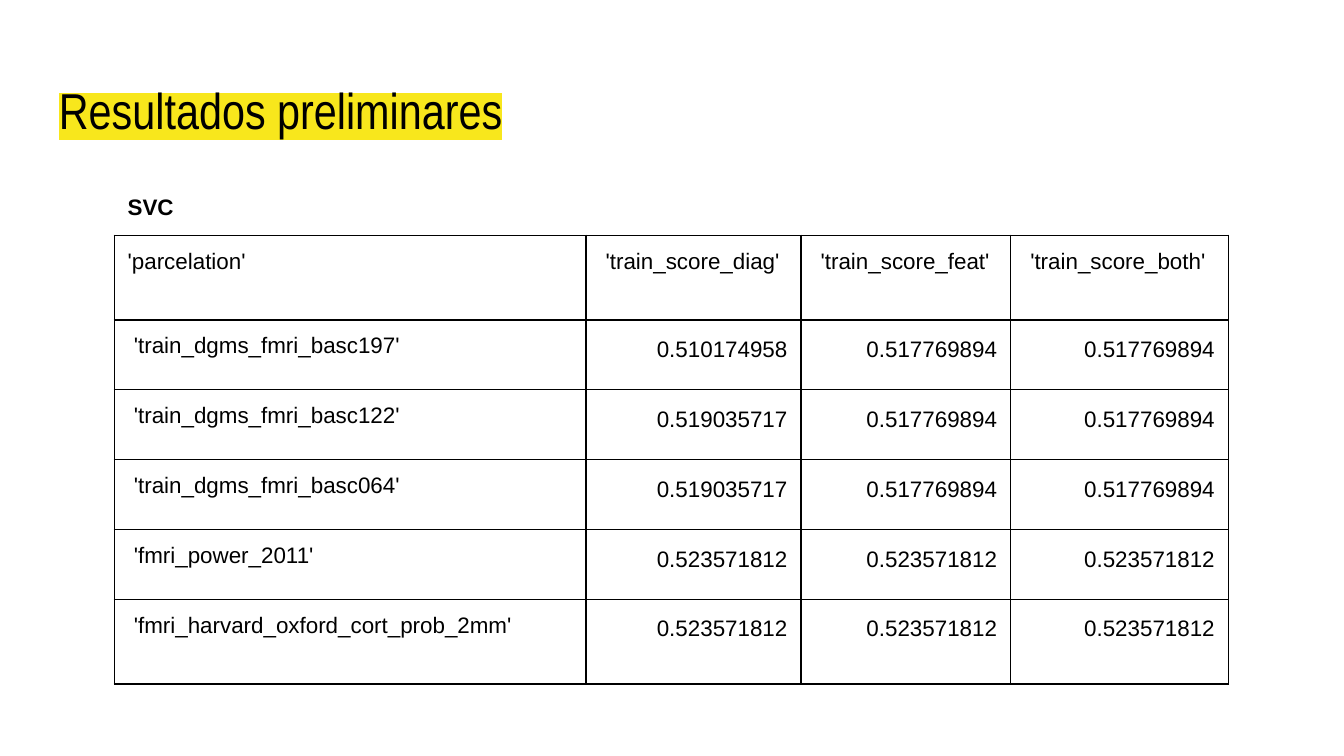
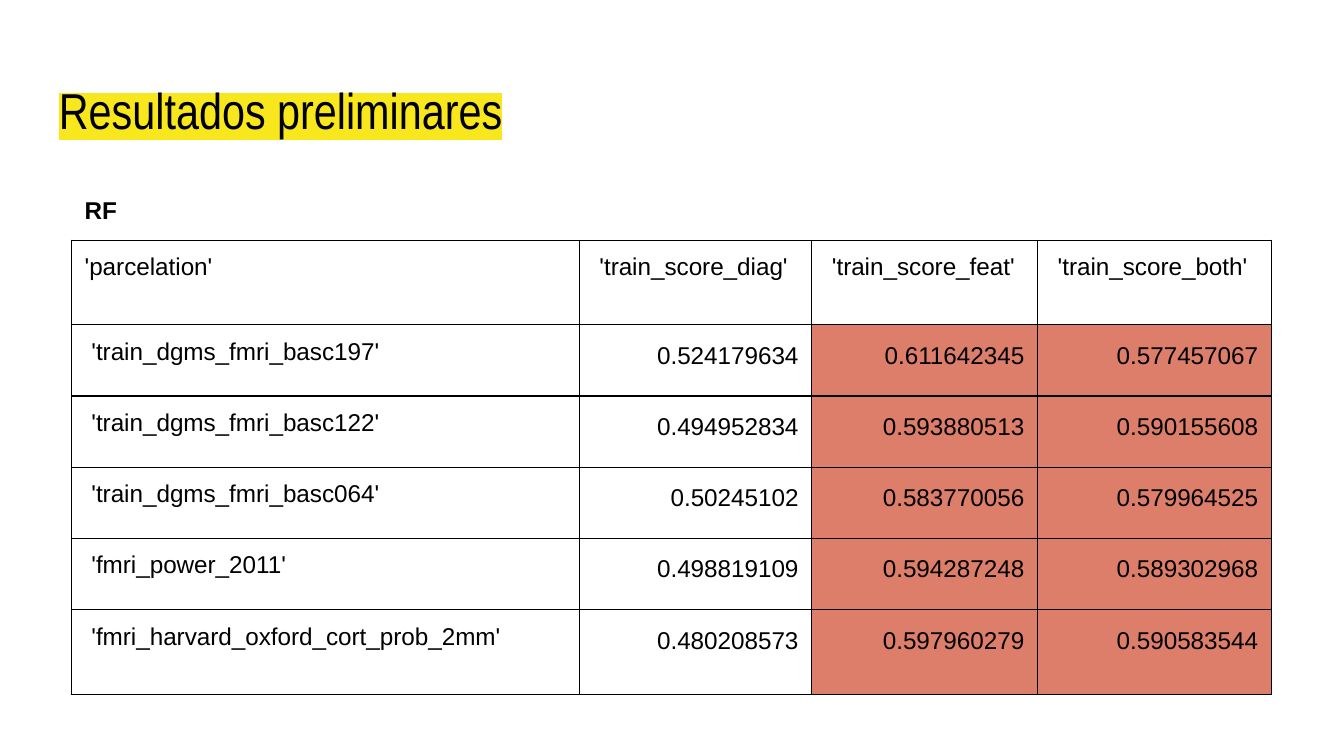
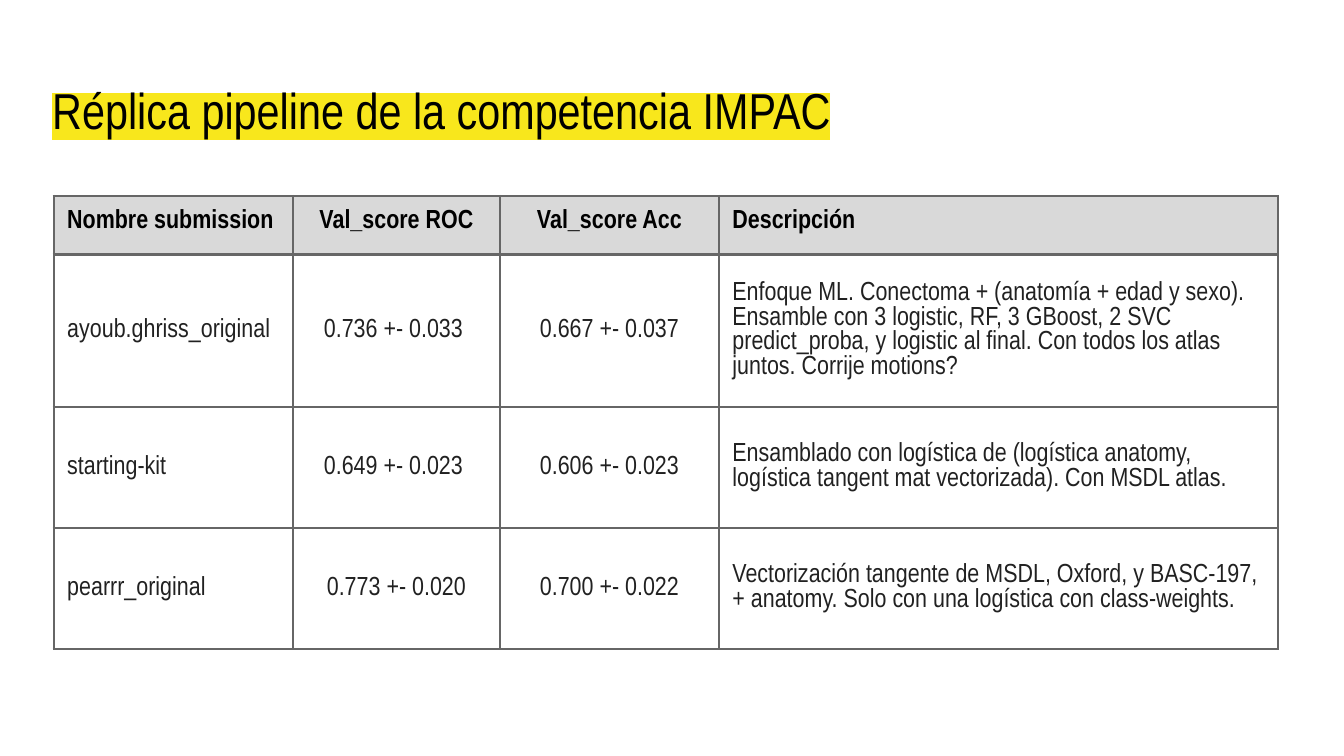
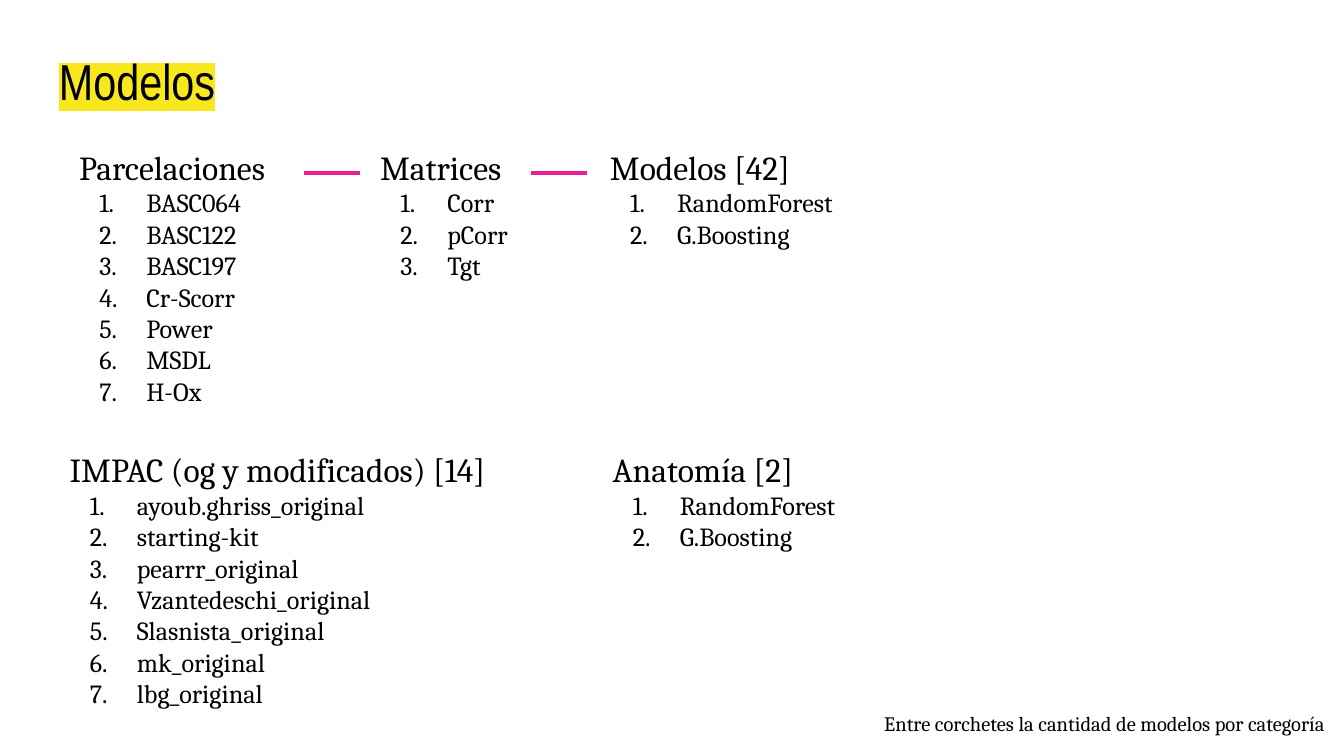
"""Build four slides with preliminary results, replicated pipelines and a list of models."""
import dataclasses

import lxml.etree
import pptx
import pptx.dml.color
import pptx.enum.shapes
import pptx.enum.text
import pptx.oxml.ns
import pptx.util

Inches = pptx.util.Inches
Pt = pptx.util.Pt
qn = pptx.oxml.ns.qn
ALIGN = pptx.enum.text.PP_ALIGN
ANCHOR = pptx.enum.text.MSO_ANCHOR


@dataclasses.dataclass(frozen=True)
class Theme:
    black: str = "000000"
    body: str = "212121"
    highlight: str = "F8E71C"
    accent: str = "EB1E95"
    good_score: str = "DD7E6B"
    header_fill: str = "D9D9D9"
    grid: str = "666666"
    title_font: str = "Arial Narrow"
    score_font: str = "Arial"
    list_font: str = "Cambria"
    title_size: int = 27
    heading_size: int = 18
    text_size: int = 14
    note_size: int = 11
    inset: float = 0.1


def color(value):
    return pptx.dml.color.RGBColor.from_string(value)


def add_color(parent, tag, value):
    holder = lxml.etree.SubElement(parent, qn(tag))
    lxml.etree.SubElement(holder, qn("a:srgbClr"), val=value)
    return holder


def write(paragraph, text, *, font, size, fill, bold=False, align=None, spacing=None,
          highlight=None, numbered=False):
    if not text:
        lxml.etree.SubElement(paragraph._p, qn("a:endParaRPr"), sz=str(size * 100))
        return
    paragraph.alignment = align
    paragraph.line_spacing = spacing
    run = paragraph.add_run()
    run.text = text
    run.font.name = font
    run.font.size = Pt(size)
    run.font.bold = bold
    run.font.color.rgb = color(fill)
    if highlight:
        properties = run.font._element
        mark = add_color(properties, "a:highlight", highlight)
        properties.find(qn("a:solidFill")).addnext(mark)
    if numbered:
        properties = paragraph._p.get_or_add_pPr()
        properties.set("marL", str(Inches(0.5)))
        properties.set("indent", str(-Inches(0.35)))
        add_color(properties, "a:buClr", fill)
        lxml.etree.SubElement(properties, qn("a:buAutoNum"), type="arabicPeriod")


class Deck:
    def __init__(self, theme):
        self.theme = theme
        self.presentation = pptx.Presentation()
        self.presentation.slide_width = Inches(10)
        self.presentation.slide_height = Inches(10) * 9 // 16
        self.slide = None

    def new_slide(self, title, left=0.34, top=0.49):
        self.slide = self.presentation.slides.add_slide(self.presentation.slide_layouts[6])
        frame = self.text_box(left, top, 9.32, 0.63)
        frame.vertical_anchor = ANCHOR.BOTTOM
        frame.margin_bottom = Inches(0.08)
        write(frame.paragraphs[0], title, font=self.theme.title_font,
              size=self.theme.title_size, fill=self.theme.black,
              highlight=self.theme.highlight)

    def text_box(self, left, top, width, height):
        shape = self.slide.shapes.add_textbox(
            Inches(left), Inches(top), Inches(width), Inches(height))
        frame = shape.text_frame
        frame.word_wrap = True
        frame.margin_left = frame.margin_right = Inches(self.theme.inset)
        frame.margin_top = frame.margin_bottom = Inches(self.theme.inset)
        return frame

    def numbered_list(self, left, top, width, height, heading, items):
        frame = self.text_box(left, top, width, height)
        style = dict(font=self.theme.list_font, fill=self.theme.black)
        write(frame.paragraphs[0], heading, size=self.theme.heading_size, **style)
        for item in items:
            write(frame.add_paragraph(), item, size=self.theme.text_size,
                  numbered=True, **style)

    def note(self, left, top, width, height, text):
        frame = self.text_box(left, top, width, height)
        write(frame.paragraphs[0], text, font=self.theme.list_font,
              size=self.theme.note_size, fill=self.theme.black, align=ALIGN.RIGHT)

    def dash(self, start, end, y):
        connector = self.slide.shapes.add_connector(
            pptx.enum.shapes.MSO_CONNECTOR.STRAIGHT,
            Inches(start), Inches(y), Inches(end), Inches(y))
        connector.line.color.rgb = color(self.theme.accent)
        connector.line.width = Pt(2.25)
        lxml.etree.SubElement(connector._element.spPr, qn("a:effectLst"))

    def table(self, left, top, widths, heights):
        frame = self.slide.shapes.add_table(
            len(heights), len(widths), Inches(left), Inches(top),
            Inches(sum(widths)), Inches(sum(heights)))
        table = frame.table
        table.first_row = table.horz_banding = False
        for column, width in zip(table.columns, widths):
            column.width = Inches(width)
        for row, height in zip(table.rows, heights):
            row.height = Inches(height)
        return table

    def cell(self, cell, text, *, line, line_width, sides="LRTB", shade=None,
             anchor=ANCHOR.TOP, **text_format):
        cell.margin_left = cell.margin_right = Inches(self.theme.inset)
        cell.margin_top = cell.margin_bottom = Inches(self.theme.inset)
        cell.vertical_anchor = anchor
        properties = cell._tc.get_or_add_tcPr()
        for side in "LRTB":
            border = lxml.etree.SubElement(
                properties, qn("a:ln" + side), w=str(Pt(line_width)))
            if side in sides:
                add_color(border, "a:solidFill", line)
            else:
                lxml.etree.SubElement(border, qn("a:noFill"))
        if shade:
            cell.fill.solid()
            cell.fill.fore_color.rgb = color(shade)
        else:
            cell.fill.background()
        write(cell.text_frame.paragraphs[0], text, **text_format)

    def score_table(self, left, top, widths, heights, model, size, scores, shaded=()):
        theme = self.theme
        table = self.table(left, top, widths, heights)
        style = dict(font=theme.score_font, size=size, fill=theme.black,
                     line=theme.black, line_width=0.75)
        for column in range(len(widths)):
            self.cell(table.cell(0, column), "" if column else model,
                      sides="B", bold=True, **style)
        table.cell(0, 0).merge(table.cell(0, len(widths) - 1))
        for column, name in enumerate(SCORE_HEADER):
            self.cell(table.cell(1, column), name, **style)
        for row, (parcelation, values) in enumerate(zip(PARCELATIONS, scores), start=2):
            self.cell(table.cell(row, 0), f" '{parcelation}'", **style)
            for column, value in enumerate(values, start=1):
                self.cell(table.cell(row, column), value, align=ALIGN.RIGHT, spacing=1.15,
                          shade=theme.good_score if column in shaded else None, **style)

    def submission_table(self, left, top, widths, heights, rows):
        theme = self.theme
        table = self.table(left, top, widths, heights)
        for row, texts in enumerate(rows):
            if row == 0:
                style = dict(bold=True, fill=theme.black, shade=theme.header_fill)
            else:
                style = dict(fill=theme.body, anchor=ANCHOR.MIDDLE)
            for column, text in enumerate(texts):
                self.cell(table.cell(row, column), text, font=theme.title_font,
                          size=theme.text_size, line=theme.grid, line_width=1.5,
                          align=ALIGN.CENTER if column in (1, 2) else None, **style)


SCORE_HEADER = ["'parcelation'", " 'train_score_diag'", " 'train_score_feat'",
                " 'train_score_both'"]
PARCELATIONS = ["train_dgms_fmri_basc197", "train_dgms_fmri_basc122",
                "train_dgms_fmri_basc064", "fmri_power_2011",
                "fmri_harvard_oxford_cort_prob_2mm"]
SVC_SCORES = [
    ["0.510174958", "0.517769894", "0.517769894"],
    ["0.519035717", "0.517769894", "0.517769894"],
    ["0.519035717", "0.517769894", "0.517769894"],
    ["0.523571812", "0.523571812", "0.523571812"],
    ["0.523571812", "0.523571812", "0.523571812"],
]
RF_SCORES = [
    ["0.524179634", "0.611642345", "0.577457067"],
    ["0.494952834", "0.593880513", "0.590155608"],
    ["0.50245102", "0.583770056", "0.579964525"],
    ["0.498819109", "0.594287248", "0.589302968"],
    ["0.480208573", "0.597960279", "0.590583544"],
]
SUBMISSIONS = [
    ["Nombre submission", "Val_score ROC", "Val_score Acc", "Descripción"],
    ["ayoub.ghriss_original", "0.736 +- 0.033 ", "0.667 +- 0.037",
     "Enfoque ML. Conectoma + (anatomía + edad y sexo). Ensamble con 3 logistic, RF, "
     "3 GBoost, 2 SVC predict_proba, y logistic al final. Con todos los atlas juntos. "
     "Corrije motions?"],
    ["starting-kit", "0.649 +- 0.023 ", "0.606 +- 0.023",
     "Ensamblado con logística de (logística anatomy, logística tangent mat "
     "vectorizada). Con MSDL atlas."],
    ["pearrr_original", "0.773 +- 0.020", "0.700 +- 0.022",
     "Vectorización tangente de MSDL, Oxford, y BASC-197, + anatomy. Solo con una "
     "logística con class-weights."],
]
CLASSIFIERS = ["RandomForest", "G.Boosting"]


def main():
    deck = Deck(Theme())

    deck.new_slide("Resultados preliminares")
    deck.score_table(0.85, 1.35, [3.51, 1.6, 1.56, 1.62],
                     [0.3, 0.63] + [0.52] * 4 + [0.63], "SVC", 12, SVC_SCORES)

    deck.new_slide("Resultados preliminares")
    deck.score_table(0.53, 1.37, [3.78, 1.73, 1.68, 1.74],
                     [0.37, 0.63] + [0.53] * 4 + [0.63], "RF", 13, RF_SCORES,
                     shaded=(2, 3))

    deck.new_slide("Réplica pipeline de la competencia IMPAC", left=0.29)
    deck.submission_table(0.4, 1.46, [1.78, 1.54, 1.63, 4.16],
                          [0.43, 1.13, 0.9, 0.9], SUBMISSIONS)

    deck.new_slide("Modelos", top=0.27)
    upper, lower = 0.99, 3.24
    deck.numbered_list(0.49, upper, 2.19, 2.15, "Parcelaciones",
                       ["BASC064", "BASC122", "BASC197", "Cr-Scorr", "Power", "MSDL",
                        "H-Ox"])
    deck.numbered_list(2.73, upper, 1.45, 1.21, "Matrices", ["Corr", "pCorr", "Tgt"])
    deck.numbered_list(4.44, upper, 2.19, 0.98, "Modelos [42]", CLASSIFIERS)
    for start in (2.26, 3.95):
        deck.dash(start, start + 0.42, upper + 0.3)
    deck.numbered_list(4.46, lower, 3.41, 0.98, "Anatomía [2]", CLASSIFIERS)
    deck.numbered_list(0.42, lower, 3.59, 2.15, "IMPAC (og y modificados) [14]",
                       ["ayoub.ghriss_original", "starting-kit", "pearrr_original",
                        "Vzantedeschi_original", "Slasnista_original", "mk_original",
                        "lbg_original"])
    deck.note(5, 5.2, 4.96, 0.39, "Entre corchetes la cantidad de modelos por categoría")

    deck.presentation.save("out.pptx")


if __name__ == "__main__":
    main()
